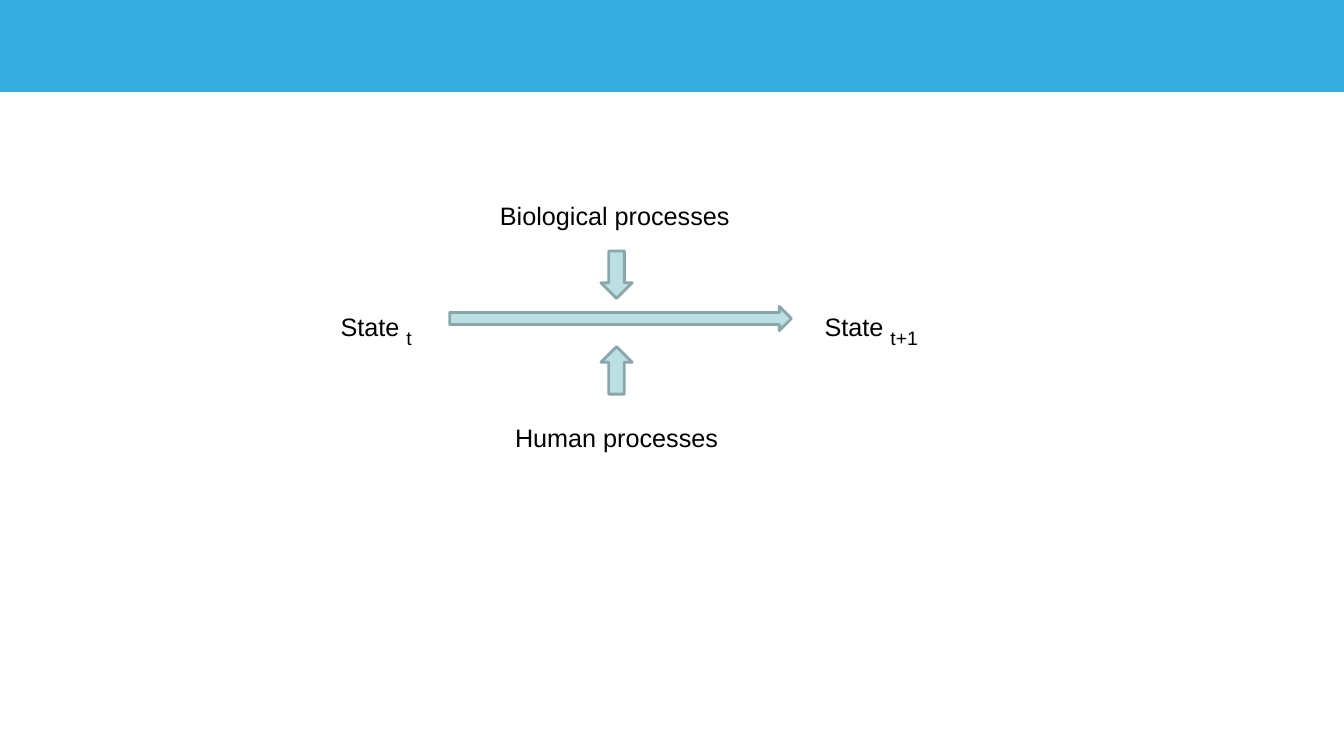
from pptx import Presentation
from pptx.dml.color import RGBColor
from pptx.enum.shapes import MSO_SHAPE
from pptx.enum.text import MSO_AUTO_SIZE
from pptx.util import Inches, Pt

RECTANGLE = MSO_SHAPE.RECTANGLE
RIGHT_ARROW = MSO_SHAPE.RIGHT_ARROW
UP_ARROW = MSO_SHAPE.UP_ARROW
FIT_SHAPE = MSO_AUTO_SIZE.SHAPE_TO_FIT_TEXT

# Content: text, subscript, left, top, width
LABELS = [
    ("Biological processes", "", 4.86, 1.94, 2.5),
    ("Human processes", "", 5.01, 4.14, 2.24),
    ("State ", "t", 3.28, 2.96, 0.93),
    ("State ", "t+1", 8.08, 2.96, 1.18),
]
# Preset, left, top, width, height, rotation
ARROWS = [
    (RIGHT_ARROW, 4.46, 3.04, 3.39, 0.24, 0),
    (UP_ARROW, 5.96, 3.44, 0.31, 0.47, 0),
    (UP_ARROW, 5.96, 2.49, 0.31, 0.47, 180),
]
SLIDE_WIDTH, SLIDE_HEIGHT = 13.33, 7.5
BANNER_HEIGHT = 0.91
LABEL_HEIGHT = 0.4
FONT = "Arial"
BANNER_BLUE, ARROW_FILL, ARROW_LINE, BLACK = "37ACDE", "BBE0E3", "8AA6A8", "000000"


def color(hex_string):
    return RGBColor.from_string(hex_string)


def add_shape(slide, preset, left, top, width, height, fill, line, line_width):
    shape = slide.shapes.add_shape(
        preset, Inches(left), Inches(top), Inches(width), Inches(height))
    shape.shadow.inherit = False
    shape.fill.solid()
    shape.fill.fore_color.rgb = color(fill)
    shape.line.color.rgb = color(line)
    shape.line.width = Pt(line_width)
    return shape


def add_run(paragraph, text, size):
    run = paragraph.add_run()
    run.text = text
    run.font.name = FONT
    run.font.size = Pt(size)
    run.font.color.rgb = color(BLACK)
    return run


def add_label(slide, text, subscript, left, top, width):
    box = slide.shapes.add_textbox(
        Inches(left), Inches(top), Inches(width), Inches(LABEL_HEIGHT))
    frame = box.text_frame
    frame.word_wrap = False
    frame.auto_size = FIT_SHAPE
    paragraph = frame.paragraphs[0]
    add_run(paragraph, text, 18)
    if subscript:
        run = add_run(paragraph, subscript, 24)
        run.font._element.set("baseline", "-25000")


def main():
    presentation = Presentation()
    presentation.slide_width = Inches(SLIDE_WIDTH)
    presentation.slide_height = Inches(SLIDE_HEIGHT)
    slide = presentation.slides.add_slide(presentation.slide_layouts[6])

    # Banner
    add_shape(slide, RECTANGLE, 0, 0, SLIDE_WIDTH, BANNER_HEIGHT,
              BANNER_BLUE, BANNER_BLUE, 0.75)

    # Transition arrow and the two process arrows
    for preset, left, top, width, height, rotation in ARROWS:
        arrow = add_shape(slide, preset, left, top, width, height,
                          ARROW_FILL, ARROW_LINE, 2)
        arrow.rotation = rotation

    # Labels
    for label in LABELS:
        add_label(slide, *label)

    presentation.save("out.pptx")


if __name__ == "__main__":
    main()
